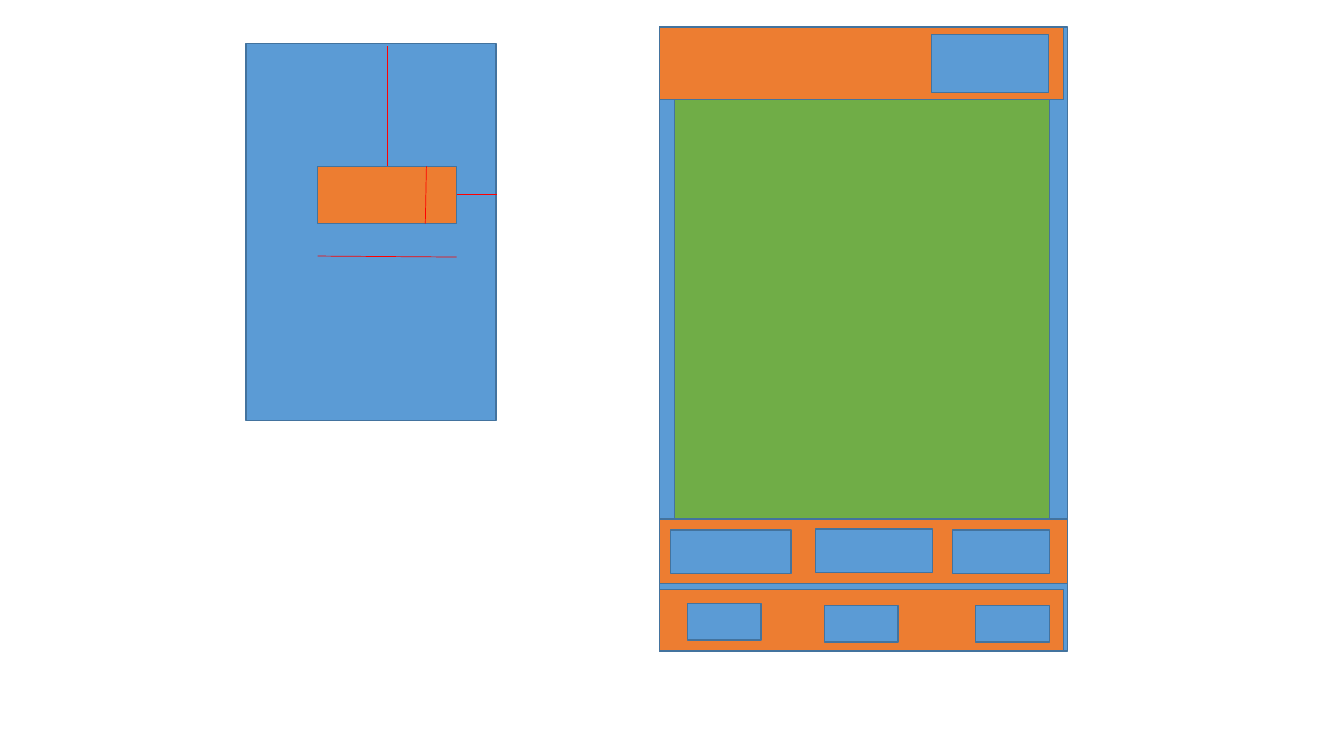
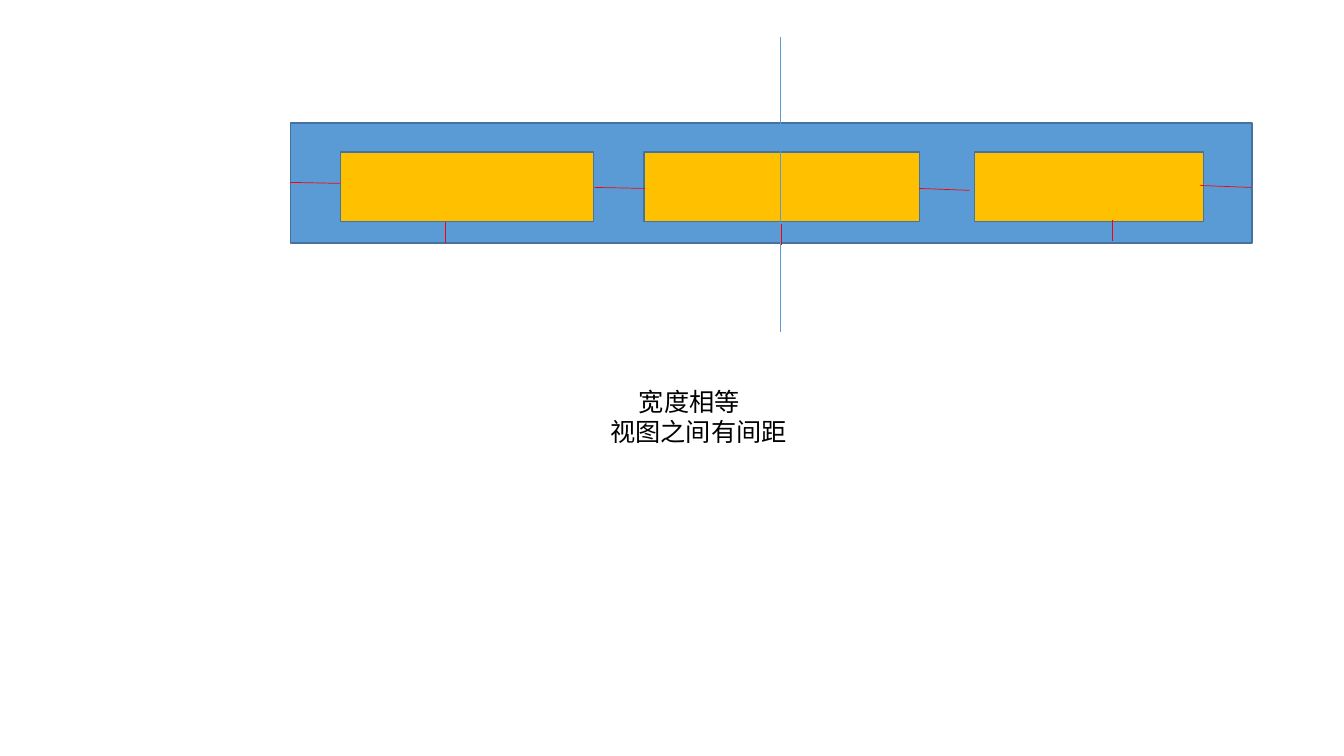
from pptx import Presentation
from pptx.dml.color import RGBColor
from pptx.enum.shapes import MSO_CONNECTOR, MSO_SHAPE
from pptx.enum.text import MSO_AUTO_SIZE
from pptx.oxml import parse_xml
from pptx.oxml.ns import nsdecls
from pptx.util import Pt

RECTANGLE = MSO_SHAPE.RECTANGLE
STRAIGHT = MSO_CONNECTOR.STRAIGHT
GROW_TO_TEXT = MSO_AUTO_SIZE.SHAPE_TO_FIT_TEXT

BLUE, ORANGE, GREEN, GOLD = "5B9BD5", "ED7D31", "70AD47", "FFC000"
OUTLINE, RED, BLACK = "43739E", "FF0000", "000000"
BLANK_LAYOUT = 6


def color(hex_string):
    return RGBColor.from_string(hex_string)


def write(paragraph, text, *, size=18, font="Calibri", ink=BLACK, indent=0):
    """Add formatted text to a paragraph."""
    run = paragraph.add_run()
    run.text = text
    run.font.size = Pt(size)
    run.font.name = font
    run.font.color.rgb = color(ink)
    paragraph._p.get_or_add_pPr().set("indent", str(Pt(indent)))


class Sketch:
    """Shared style and the current slide; all lengths are in points."""

    def __init__(self):
        self.deck = Presentation()
        self.deck.slide_width, self.deck.slide_height = Pt(960), Pt(540)
        self.slide = None

    def new_slide(self):
        layout = self.deck.slide_layouts[BLANK_LAYOUT]
        self.slide = self.deck.slides.add_slide(layout)

    def box(self, left, top, width, height, fill=BLUE):
        shape = self.slide.shapes.add_shape(
            RECTANGLE, Pt(left), Pt(top), Pt(width), Pt(height))
        shape.shadow.inherit = False
        shape.fill.solid()
        shape.fill.fore_color.rgb = color(fill)
        shape.line.color.rgb = color(OUTLINE)
        shape.line.width = Pt(1)

    def line(self, left, top, dx, dy, ink=RED):
        connector = self.slide.shapes.add_connector(
            STRAIGHT, Pt(left), Pt(top), Pt(left + dx), Pt(top + dy))
        connector.line.color.rgb = color(ink)
        connector.line.width = Pt(0.5)
        connector._element.spPr.append(
            parse_xml(f"<a:effectLst {nsdecls('a')}/>"))

    def note(self, left, top, width, height, lines):
        frame = self.slide.shapes.add_textbox(
            Pt(left), Pt(top), Pt(width), Pt(height)).text_frame
        frame.word_wrap = True
        frame.auto_size = GROW_TO_TEXT
        for number, (text, indent) in enumerate(lines):
            paragraph = frame.add_paragraph() if number else frame.paragraphs[0]
            write(paragraph, text, indent=indent)


def screen_layout(sketch):
    sketch.new_slide()
    screen_left, screen_top, screen_width = 470.9, 19.4, 291.6
    bar_width = 288.7

    # Screen and header
    sketch.box(screen_left, screen_top, screen_width, 445.7)
    sketch.box(screen_left, screen_top, bar_width, 51.8, ORANGE)
    sketch.box(665.3, 24.5, 83.5, 41.8)

    # Bottom tab bar
    sketch.box(screen_left, 421.2, bar_width, 43.9, ORANGE)
    for left, top in ((491, 431.3), (589, 432.7), (697, 432.7)):
        sketch.box(left, top, 52.6, 25.9)

    # Toolbar
    sketch.box(screen_left, 370.8, screen_width, 46.1, ORANGE)
    for left, top, width in ((478.8, 378.7, 86.4), (582.5, 378, 83.5),
                             (680.4, 378.7, 69.1)):
        sketch.box(left, top, width, 31)

    # Content area
    sketch.box(481.7, 71.3, 267.8, 299.5, GREEN)

    # Parent view, child view and its four constraints
    child_left, child_top, child_width, child_height = 226.8, 118.8, 99.4, 41
    sketch.box(175.7, 31, 178.6, 269.3)
    sketch.box(child_left, child_top, child_width, child_height, ORANGE)
    sketch.line(child_left + child_width, 139, 28.8, 0)
    sketch.line(276.5, child_top, 0, -85.7)
    sketch.line(child_left, 182.9, child_width, 0.7)
    sketch.line(303.8, child_top + child_height, 0.8, -child_height)


def equal_widths(sketch):
    sketch.new_slide()

    # Container, three views and the centre axis
    sketch.box(207.4, 87.8, 686.9, 85.7)
    for left, width in ((460.1, 196.6), (243.4, 180.7), (696.2, 163.4)):
        sketch.box(left, 108.7, width, 49.7, GOLD)
    sketch.line(557.3, 26.6, 0, 210.3, BLUE)

    # Explanation
    sketch.note(424.8, 272.2, 151.9, 51.1,
                [("宽度相等", 24.4), ("视图之间有间距", 4)])

    # Horizontal gaps
    for left, top, drop in ((207.4, 130.3, 0.7), (857.5, 132.5, 1.4),
                            (424.8, 133.9, 0.7), (656.6, 134.6, 1.4)):
        sketch.line(left, top, 36, drop)

    # Bottom gaps
    for left, top in ((318.2, 158.4), (558, 159.8), (794.9, 157)):
        sketch.line(left, top, 0, 15.1)


def main():
    sketch = Sketch()
    screen_layout(sketch)
    equal_widths(sketch)
    sketch.deck.save("out.pptx")


if __name__ == "__main__":
    main()
